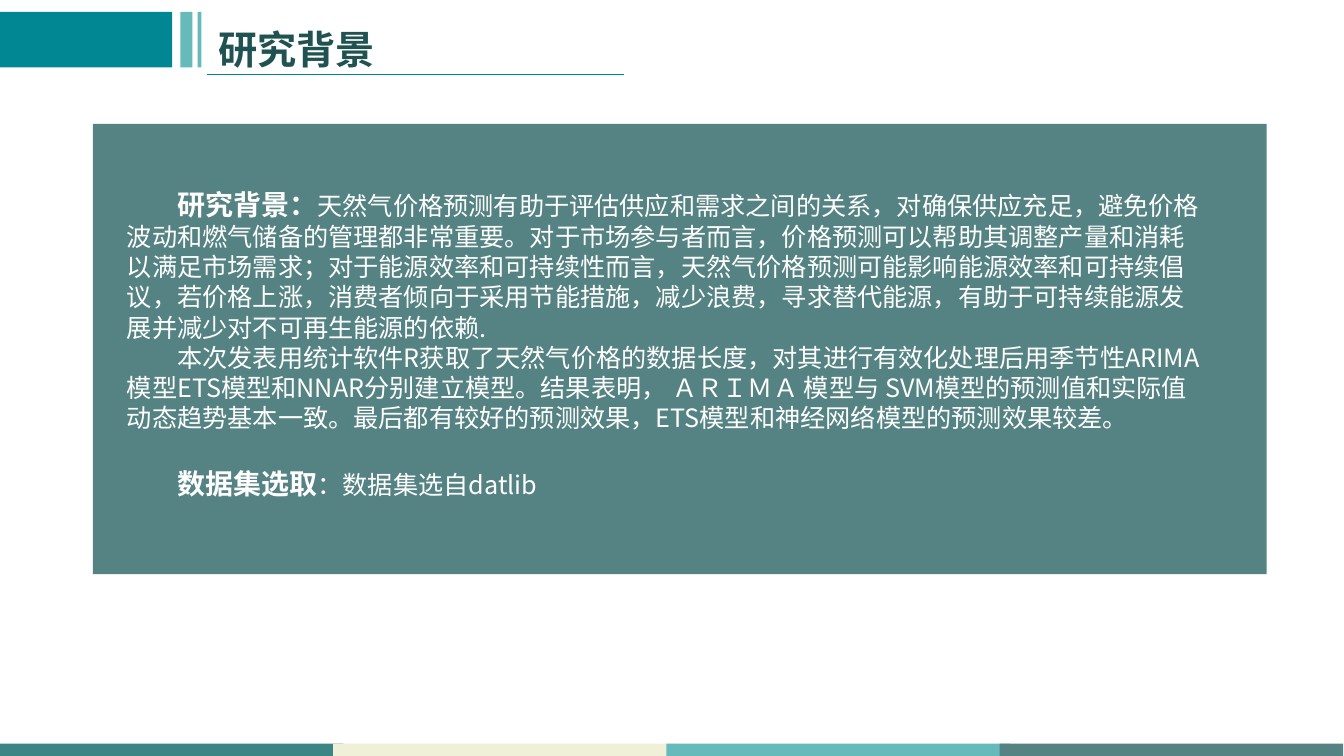
import pptx
import pptx.util
import pptx.dml.color
import pptx.enum.shapes
import pptx.enum.text
import pptx.oxml
import pptx.oxml.ns
from pptx.util import Cm

FONT = "Noto Sans CJK SC"
COLORS = {
    "teal": "018694", "aqua": "66BABA", "slate": "558383", "pine": "3B8585",
    "cream": "F0F0D8", "title": "205252", "white": "FFFFFF",
}
HEADING = {"size": pptx.util.Pt(20), "bold": True}
BODY = {"size": pptx.util.Pt(18), "bold": False}
TITLE = {"size": pptx.util.Pt(28), "bold": True}
FRAME = {
    "word_wrap": True,
    "vertical_anchor": pptx.enum.text.MSO_ANCHOR.TOP,
    "margin_left": Cm(0.25), "margin_right": Cm(0.25),
    "margin_top": Cm(0.13), "margin_bottom": Cm(0.13),
}

# Each paragraph: space before in points, then its spans.
PARAGRAPHS = [
    (0, [
        ("研究背景：", HEADING),
        ("天然气价格预测有助于评估供应和需求之间的关系，对确保供应充足，避免价格波动和燃气储备的管理都非常重要。"
         "对于市场参与者而言，价格预测可以帮助其调整产量和消耗以满足市场需求；"
         "对于能源效率和可持续性而言，天然气价格预测可能影响能源效率和可持续倡议，"
         "若价格上涨，消费者倾向于采用节能措施，减少浪费，寻求替代能源，"
         "有助于可持续能源发展并减少对不可再生能源的依赖.", BODY),
    ]),
    (0, [
        ("本次发表用统计软件R获取了天然气价格的数据长度，对其进行有效化处理后用季节性"
         "ARIMA模型ETS模型和NNAR分别建立模型。"
         "结果表明， ＡＲＩＭＡ 模型与 SVM模型的预测值和实际值动态趋势基本一致。"
         "最后都有较好的预测效果，ETS模型和神经网络模型的预测效果较差。", BODY),
    ]),
    (24, [("数据集选取", HEADING), ("：数据集选自datlib", BODY)]),
]


def rgb(name):
    return pptx.dml.color.RGBColor.from_string(COLORS[name])


def apply_format(target, values):
    for name, value in values.items():
        setattr(target, name, value)


def add_block(page, left, top, width, height, color):
    block = page.shapes.add_shape(
        pptx.enum.shapes.MSO_SHAPE.RECTANGLE, Cm(left), Cm(top), Cm(width), Cm(height))
    block.shadow.inherit = False
    block.fill.solid()
    block.fill.fore_color.rgb = rgb(color)
    block.line.fill.background()


def add_span(para, text, values, color):
    span = para.add_run()
    span.text = text
    apply_format(span.font, {"name": FONT, **values})
    span.font.color.rgb = rgb(color)
    east_asian = pptx.oxml.parse_xml(
        f'<a:ea {pptx.oxml.ns.nsdecls("a")} typeface="{FONT}"/>')
    span.font._element.find(pptx.oxml.ns.qn("a:latin")).addnext(east_asian)


def set_title(page, text):
    title = page.shapes.title
    apply_format(title, {"left": Cm(5.26), "top": Cm(0.51),
                         "width": Cm(4.47), "height": Cm(1.45)})
    apply_format(title.text_frame, {**FRAME, "word_wrap": False})
    para = title.text_frame.paragraphs[0]
    apply_format(para, {"alignment": pptx.enum.text.PP_ALIGN.LEFT, "line_spacing": 1.0,
                        "space_before": pptx.util.Pt(0)})
    add_span(para, text, TITLE, "title")


def add_underline(page):
    line = page.shapes.add_connector(
        pptx.enum.shapes.MSO_CONNECTOR.STRAIGHT, Cm(5.21), Cm(1.88), Cm(15.72), Cm(1.88))
    line.line.color.rgb = rgb("teal")
    line.line.width = pptx.util.Pt(0.75)
    line._element.spPr.append(
        pptx.oxml.parse_xml(f'<a:effectLst {pptx.oxml.ns.nsdecls("a")}/>'))


def add_body(page):
    box = page.shapes.add_textbox(Cm(2.95), Cm(4.6), Cm(27.74), Cm(8.2))
    apply_format(box.text_frame, FRAME)
    for index, (space, spans) in enumerate(PARAGRAPHS):
        para = box.text_frame.add_paragraph() if index else box.text_frame.paragraphs[0]
        para.space_before = pptx.util.Pt(space)
        para._p.get_or_add_pPr().set("indent", str(Cm(1.27)))
        for text, values in spans:
            add_span(para, text, values, "white")


def main():
    deck = pptx.Presentation()
    deck.slide_width, deck.slide_height = Cm(33.88), Cm(19.05)
    page = deck.slides.add_slide(deck.slide_layouts[5])

    for index, color in enumerate(["pine", "cream", "aqua", "slate"]):
        add_block(page, index * 8.4, 18.74, 8.66, 0.33, color)
    add_block(page, 2.34, 3.12, 29.59, 11.35, "slate")
    for left, width, color in [(0, 4.34, "teal"), (4.55, 0.3, "aqua"), (4.98, 0.1, "aqua")]:
        add_block(page, left, 0.3, width, 1.4, color)

    set_title(page, "研究背景")
    add_underline(page)
    add_body(page)
    deck.save("out.pptx")


if __name__ == "__main__":
    main()
